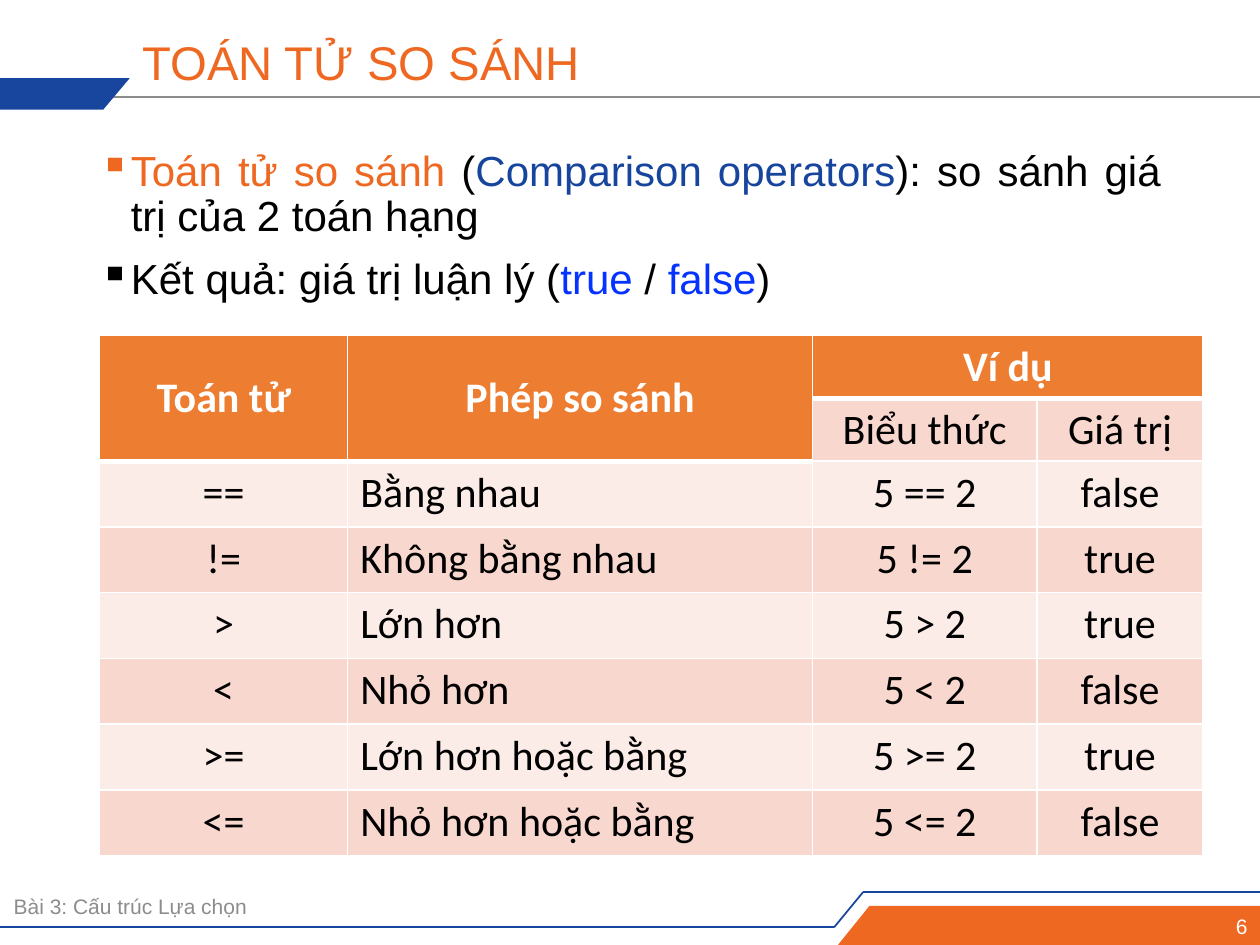
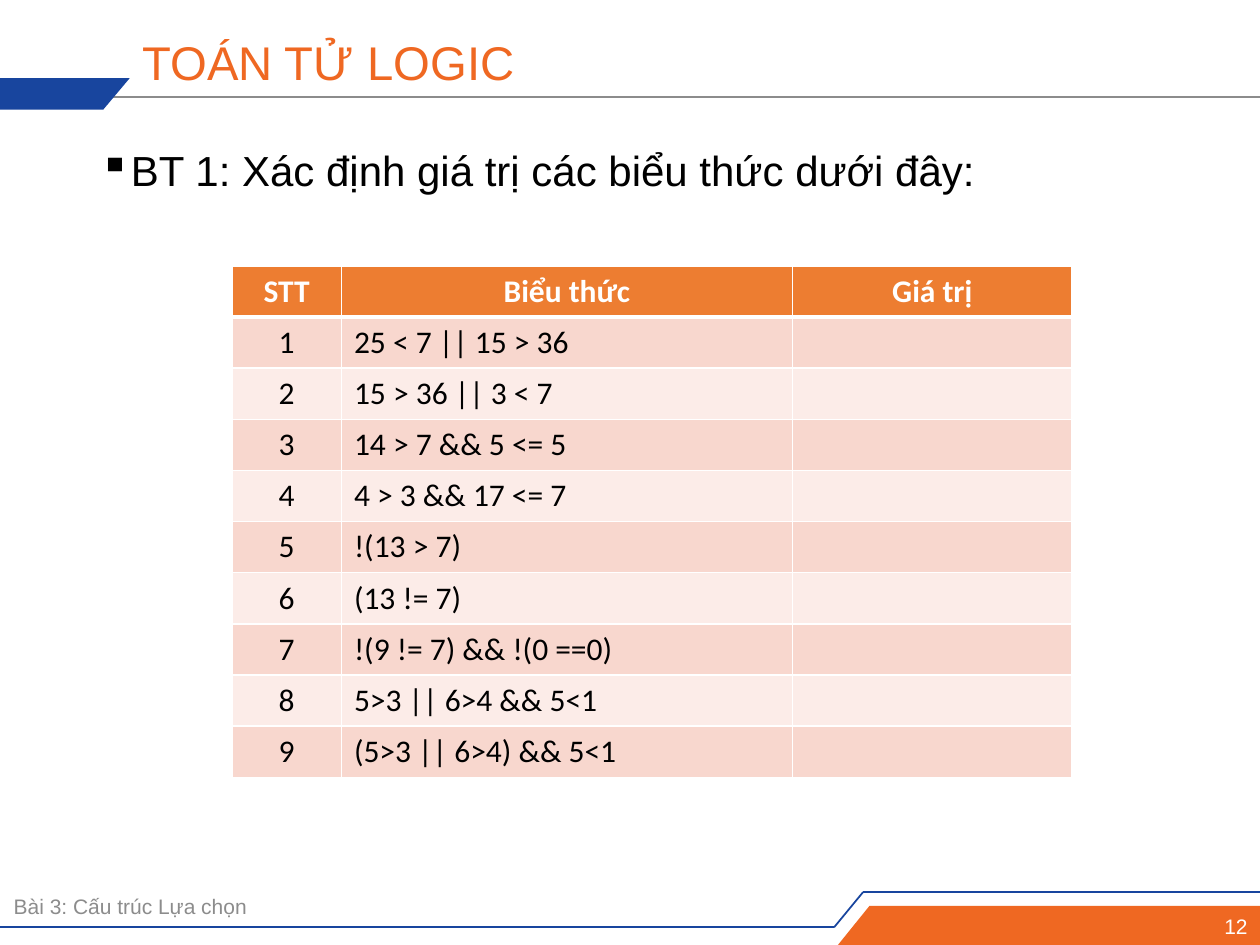
from itertools import pairwise

from lxml import etree
from pptx import Presentation, util as u
from pptx.dml.color import RGBColor
from pptx.enum import shapes, text
from pptx.oxml.ns import qn

ORANGE, BLUE, GREY = "EF6822", "18459E", "8C8C8C"
BLACK, WHITE, TRUTH = "000000", "FFFFFF", "0432FF"
HEAD, BANDS = "ED7D31", ("FCECE8", "F8D7CE")
LEFT, MID, RIGHT = text.PP_ALIGN.LEFT, text.PP_ALIGN.CENTER, text.PP_ALIGN.RIGHT
COLS, ROWS = 100, 75  # grid of the whole slide


def rgb(code):
    return RGBColor.from_string(code)


def style(font, size, color, name="Arial", bold=False):
    font.size, font.name, font.bold = u.Pt(size), name, bold
    font.color.rgb = rgb(color)


def edge(cell, side, width):
    """Draw one white border of a table cell."""
    line = etree.SubElement(cell._tc.get_or_add_tcPr(), qn(f"a:ln{side}"),
                            w=str(u.Pt(width)))
    fill = etree.SubElement(line, qn("a:solidFill"))
    etree.SubElement(fill, qn("a:srgbClr"), val=WHITE)


class Deck:
    def __init__(self):
        self.show = Presentation()
        self.show.slide_width, self.show.slide_height = u.Inches(10), u.Inches(7.5)
        self.slide = None

    def grid(self, *nums):
        """Turn alternating columns and rows into lengths."""
        units = (self.show.slide_width / COLS, self.show.slide_height / ROWS)
        return [round(n * units[i % 2]) for i, n in enumerate(nums)]

    def page(self, title, number):
        self.slide = self.show.slides.add_slide(self.show.slide_layouts[5])
        self.path_line([(7.2, 7.7), (100, 7.7)], GREY, 0.75)
        self.band([(8.2, 8.7), (0, 8.7), (0, 6.2), (10.3, 6.2)], BLUE)
        self.path_line([(0, 73.6), (66.2, 73.6), (68.5, 70.8), (100, 70.8)], BLUE, 1)
        self.band([(69, 71.9), (100, 71.9), (100, 75), (66.5, 75)], ORANGE)
        self.title(title)
        self.label("Bài 3: Cấu trúc Lựa chọn", (0.1, 70.4, 65.9, 3.1), GREY, LEFT)
        self.label(str(number), (79.1, 72.1, 20.9, 2.8), WHITE, RIGHT)

    def path_line(self, points, color, width):
        for start, end in pairwise(points):
            line = self.slide.shapes.add_connector(
                shapes.MSO_CONNECTOR.STRAIGHT, *self.grid(*start, *end))
            line.line.color.rgb, line.line.width = rgb(color), u.Pt(width)
            etree.SubElement(line._element.spPr, qn("a:effectLst"))

    def band(self, points, color):
        first, *rest = [self.grid(*p) for p in points]
        pen = self.slide.shapes.build_freeform(*first)
        pen.add_line_segments(rest, close=True)
        shape = pen.convert_to_shape()
        shape.shadow.inherit = False
        shape.fill.solid()
        shape.fill.fore_color.rgb = rgb(color)
        shape.line.fill.background()

    def title(self, words):
        box = self.slide.shapes.title
        box.left, box.top, box.width, box.height = self.grid(10.3, 2.5, 82.8, 5.3)
        frame = box.text_frame
        frame.text = words
        frame.vertical_anchor = text.MSO_ANCHOR.MIDDLE
        para = frame.paragraphs[0]
        para.alignment, para.line_spacing = LEFT, 0.9
        style(para.font, 27, ORANGE)

    def frame(self, place):
        frame = self.slide.shapes.add_textbox(*self.grid(*place)).text_frame
        frame.word_wrap = True
        return frame

    def label(self, words, place, color, align):
        frame = self.frame(place)
        frame.vertical_anchor = text.MSO_ANCHOR.MIDDLE
        para = frame.paragraphs[0]
        para.text, para.alignment = words, align
        style(para.font, 12, color)

    def bullets(self, items):
        """Write bulleted paragraphs, each an alignment and (words, color) runs."""
        frame = self.frame((6.9, 11.4, 86.2, 56.1))
        for i, (align, runs) in enumerate(items):
            para = frame.add_paragraph() if i else frame.paragraphs[0]
            para.alignment, para.line_spacing = align, 0.9
            para.space_before = u.Pt(10 if i else 0)
            props = para._p.get_or_add_pPr()
            props.set("marL", str(u.Inches(0.25)))
            props.set("indent", str(-u.Inches(0.25)))
            etree.SubElement(props, qn("a:buChar"), char="▪")
            style(para.font, 24, BLACK)
            for words, color in runs:
                run = para.add_run()
                run.text = words
                run.font.color.rgb = rgb(color)

    def table(self, spot, widths, heights, rows, size, merges=()):
        """Fill a banded table; the second column's body is left aligned."""
        place = self.grid(*spot, sum(widths), sum(heights))
        grid = self.slide.shapes.add_table(len(rows), len(widths), *place).table
        for col, width in zip(grid.columns, widths):
            col.width = self.grid(width)[0]
        for row, height in zip(grid.rows, heights):
            row.height = self.grid(0, height)[1]
        for top, left, bottom, right in merges:
            grid.cell(top, left).merge(grid.cell(bottom, right))
        for r, row in enumerate(rows):
            for c, words in enumerate(row):
                self.cell(grid.cell(r, c), r, c, words, size)

    def cell(self, cell, r, c, words, size):
        head = r == 0
        for side in "LR":
            edge(cell, side, 1)
        edge(cell, "B", 3 if head or cell.is_spanned else 1)
        cell.fill.solid()
        cell.fill.fore_color.rgb = rgb(HEAD if head else BANDS[r % 2])
        if cell.is_merge_origin:
            cell.vertical_anchor = text.MSO_ANCHOR.MIDDLE
        para = cell.text_frame.paragraphs[0]
        para.text = words
        para.alignment = LEFT if c == 1 and not head else MID
        style(para.font, size, WHITE if head else BLACK, "Calibri", head)


def compare(deck):
    deck.page("TOÁN TỬ SO SÁNH", 6)
    deck.bullets([
        (text.PP_ALIGN.JUSTIFY, [
            ("Toán tử so sánh ", ORANGE), ("(", BLACK),
            ("Comparison operators", "17459E"),
            ("): so sánh giá trị của 2 toán hạng", BLACK)]),
        (LEFT, [("Kết quả: giá trị luận lý (", BLACK), ("true", TRUTH),
                (" / ", BLACK), ("false", TRUTH), (")", BLACK)]),
    ])
    signs = [("==", "Bằng nhau", "false"), ("!=", "Không bằng nhau", "true"),
             (">", "Lớn hơn", "true"), ("<", "Nhỏ hơn", "false"),
             (">=", "Lớn hơn hoặc bằng", "true"),
             ("<=", "Nhỏ hơn hoặc bằng", "false")]
    rows = [("Toán tử", "Phép so sánh", "Ví dụ", ""),
            ("", "", "Biểu thức", "Giá trị")]
    rows += [(sign, name, f"5 {sign} 2", value) for sign, name, value in signs]
    deck.table((7.9, 26.6), (19.7, 36.9, 17.8, 13.2), [5] * 2 + [5.22] * 6, rows, 24,
               [(0, 0, 1, 0), (0, 1, 1, 1), (0, 2, 0, 3)])


def logic(deck):
    deck.page("TOÁN TỬ LOGIC", 12)
    deck.bullets([(LEFT, [("BT 1: Xác định giá trị các biểu thức dưới đây:", BLACK)])])
    tests = ["25 < 7 || 15 > 36", "15 > 36 || 3 < 7", "14 > 7 && 5 <= 5",
             "4 > 3 && 17 <= 7", "!(13 > 7)", "(13 != 7)",
             "!(9 != 7) && !(0 ==0)", "5>3 || 6>4 && 5<1", "(5>3 || 6>4) && 5<1"]
    rows = [("STT", "Biểu thức", "Giá trị")]
    rows += [(str(i), test, "") for i, test in enumerate(tests, 1)]
    deck.table((18.4, 21.1), (8.7, 35.8, 22.2), [4.06] * 10, rows, 18)


def main():
    deck = Deck()
    compare(deck)
    logic(deck)
    deck.show.save("out.pptx")


if __name__ == "__main__":
    main()
